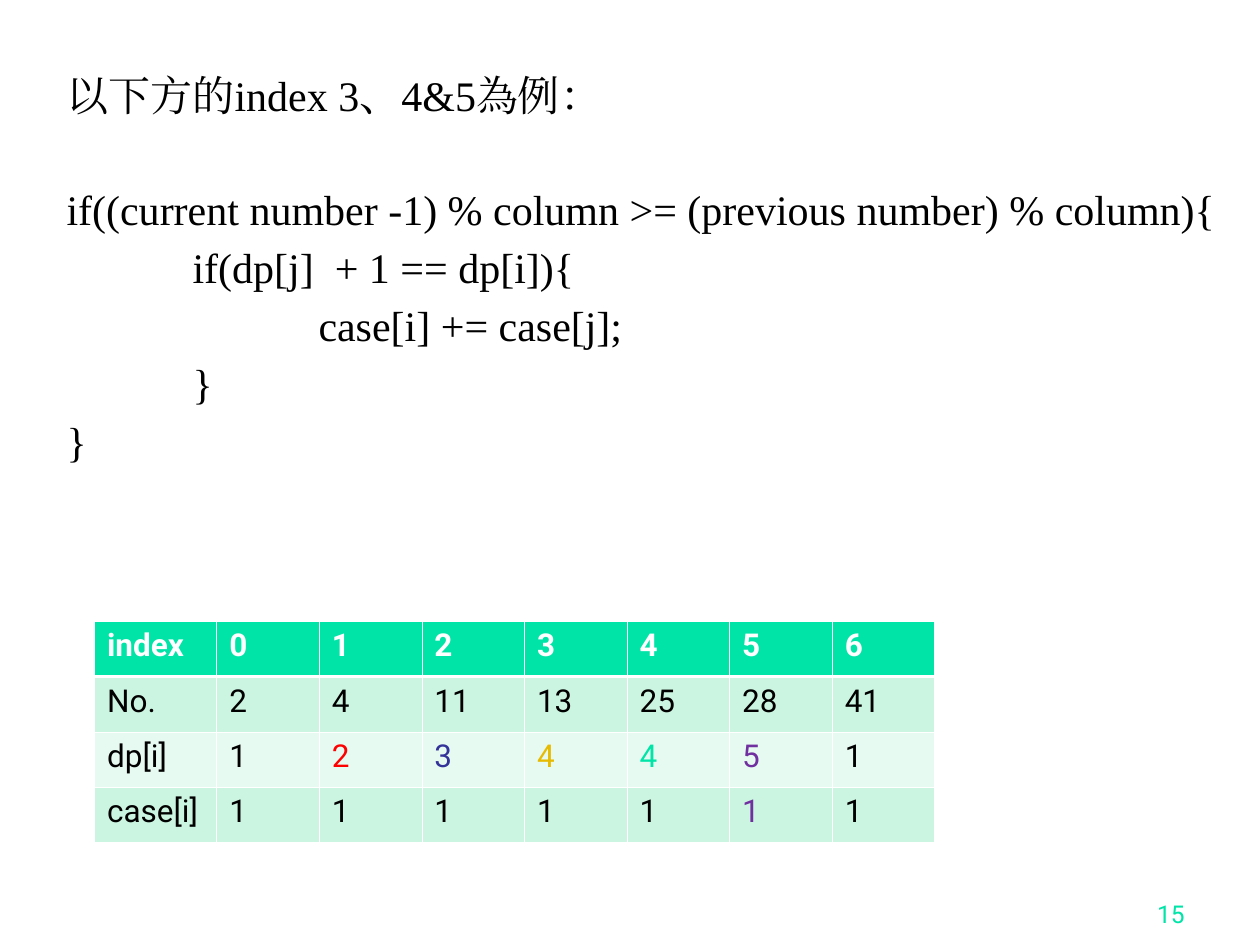
"""Build a slide with an if-condition example and its index table."""
from lxml import etree
from pptx import Presentation
from pptx.dml.color import RGBColor
from pptx.enum import text
from pptx.oxml import ns
from pptx.util import Inches, Pt

BLACK = RGBColor(0x00, 0x00, 0x00)
WHITE = RGBColor(0xFF, 0xFF, 0xFF)
GREEN = RGBColor(0x00, 0xE4, 0xA8)
MINT = RGBColor(0xCB, 0xF5, 0xE1)
PALE_MINT = RGBColor(0xE7, 0xFA, 0xF1)
RED = RGBColor(0xFF, 0x00, 0x00)
BLUE = RGBColor(0x33, 0x33, 0x99)
GOLD = RGBColor(0xE7, 0xBB, 0x01)
PURPLE = RGBColor(0x70, 0x30, 0xA0)


def write(paragraph, words, size=18, font="Roboto", color=BLACK, bold=False,
          align=text.PP_ALIGN.LEFT):
    """Write one formatted run into a paragraph."""
    paragraph.alignment = align
    run = paragraph.add_run()
    run.text = words
    run.font.name = font
    run.font.size = Pt(size)
    run.font.bold = bold
    run.font.color.rgb = color
    etree.SubElement(run.font._element, ns.qn("a:ea"), typeface=font)


def draw_border(cell, side, width):
    """Draw one white border of a table cell."""
    properties = cell._tc.get_or_add_tcPr()
    line = etree.SubElement(properties, ns.qn(f"a:ln{side}"), w=str(Pt(width)))
    fill = etree.SubElement(line, ns.qn("a:solidFill"))
    etree.SubElement(fill, ns.qn("a:srgbClr"), val=str(WHITE))


presentation = Presentation()
presentation.slide_width = Inches(10)
presentation.slide_height = Inches(7.5)
slide = presentation.slides.add_slide(presentation.slide_layouts[6])

code_box = slide.shapes.add_textbox(Inches(0.43), Inches(0.55), Inches(9.57), Inches(3.91))
code_frame = code_box.text_frame
code_frame.word_wrap = True
code_lines = [
    ("以下方的index 3、4&5為例：", 0),
    ("if((current number -1) % column >= (previous number) % column){", 39.2),
    ("\tif(dp[j]  + 1 == dp[i]){", 7.2),
    ("\t\tcase[i] += case[j];", 7.2),
    ("\t}", 7.2),
    ("}", 7.2),
]
for index, (words, space_before) in enumerate(code_lines):
    paragraph = code_frame.add_paragraph() if index else code_frame.paragraphs[0]
    tabs = etree.SubElement(paragraph._p.get_or_add_pPr(), ns.qn("a:tabLst"))
    for stop in (1, 2):
        etree.SubElement(tabs, ns.qn("a:tab"), pos=str(Inches(stop)), algn="l")
    paragraph.line_spacing = 0.9
    paragraph.space_before = Pt(space_before)
    write(paragraph, words, size=24, font="Times New Roman")

number_box = slide.shapes.add_textbox(Inches(7.42), Inches(6.92), Inches(2.08), Inches(0.5))
number_box.text_frame.word_wrap = True
number_box.text_frame.vertical_anchor = text.MSO_ANCHOR.BOTTOM
write(number_box.text_frame.paragraphs[0], "15", size=14, color=GREEN,
      align=text.PP_ALIGN.RIGHT)

rows = [
    ["index", "0", "1", "2", "3", "4", "5", "6"],
    ["No.", "2", "4", "11", "13", "25", "28", "41"],
    ["dp[i]", "1", "2", "3", "4", "4", "5", "1"],
    ["case[i]", "1", "1", "1", "1", "1", "1", "1"],
]
row_fills = [GREEN, MINT, PALE_MINT, MINT]
highlights = {(2, 2): RED, (2, 3): BLUE, (2, 4): GOLD, (2, 5): GREEN,
              (2, 6): PURPLE, (3, 6): PURPLE}
table_width, label_width, row_height = 6.67, 0.97, 0.44
table = slide.shapes.add_table(
    len(rows), len(rows[0]), Inches(0.75), Inches(4.93),
    Inches(table_width), Inches(row_height * len(rows))).table
for column_index, column in enumerate(table.columns):
    value_width = (table_width - label_width) / (len(rows[0]) - 1)
    column.width = Inches(value_width if column_index else label_width)
for row_index, values in enumerate(rows):
    table.rows[row_index].height = Inches(row_height)
    header = row_index == 0
    for column_index, value in enumerate(values):
        cell = table.cell(row_index, column_index)
        color = WHITE if header else highlights.get((row_index, column_index), BLACK)
        write(cell.text_frame.paragraphs[0], value, color=color, bold=header)
        for side in "LRTB":
            under_header = (row_index, side) in ((0, "B"), (1, "T"))
            draw_border(cell, side, 1.47 if under_header else 0.45)
        cell.fill.solid()
        cell.fill.fore_color.rgb = row_fills[row_index]

presentation.save("out.pptx")
